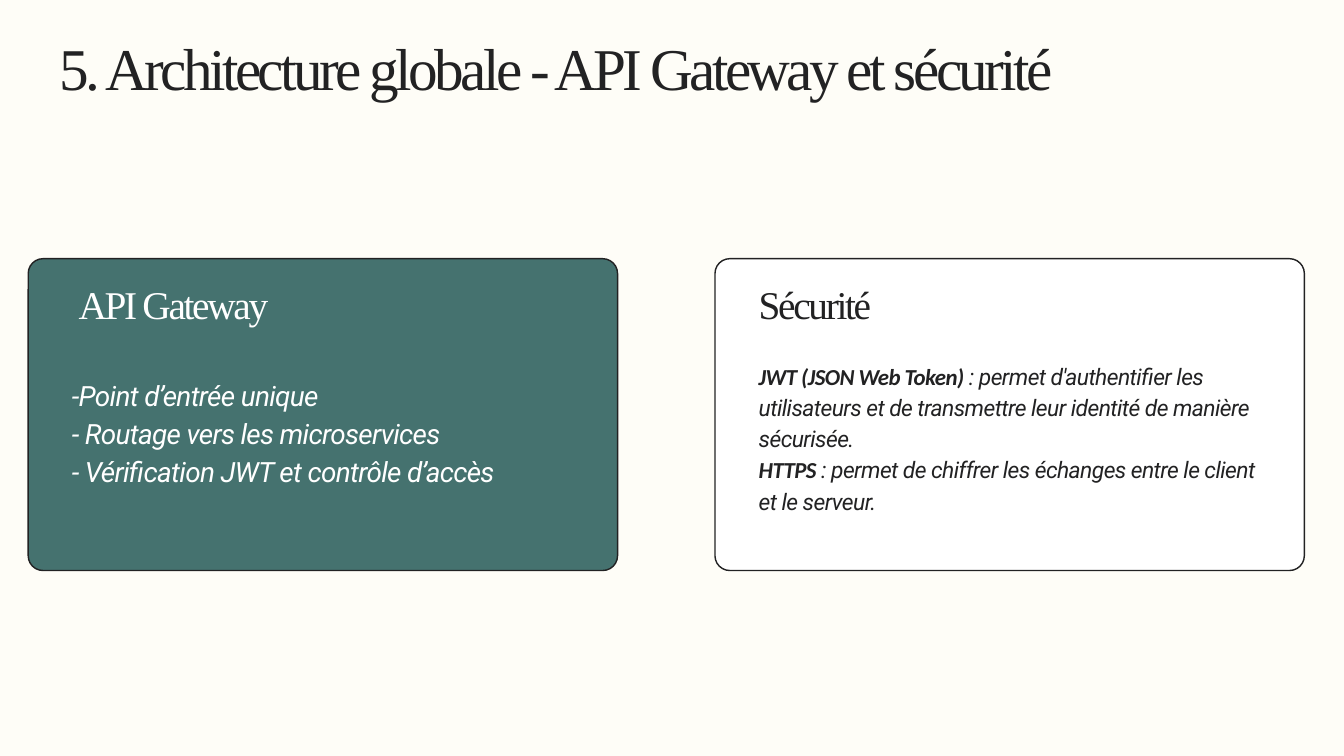
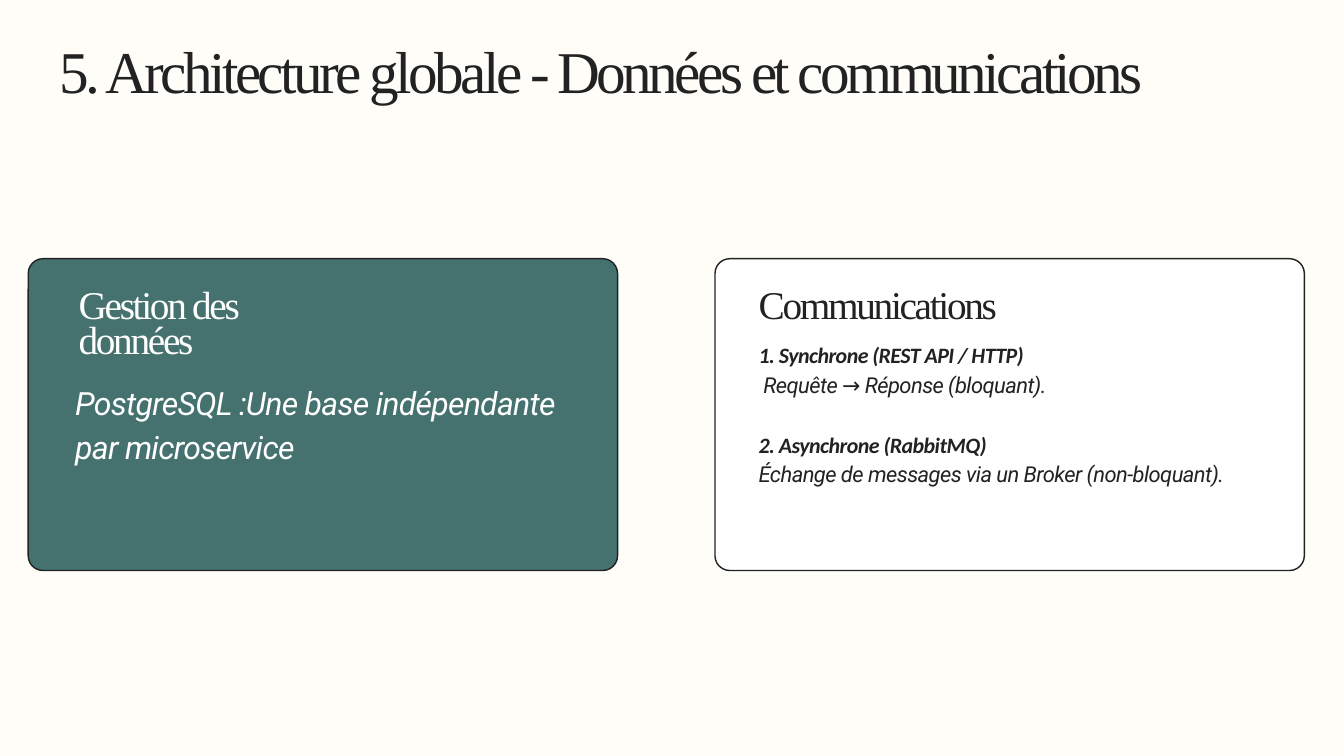
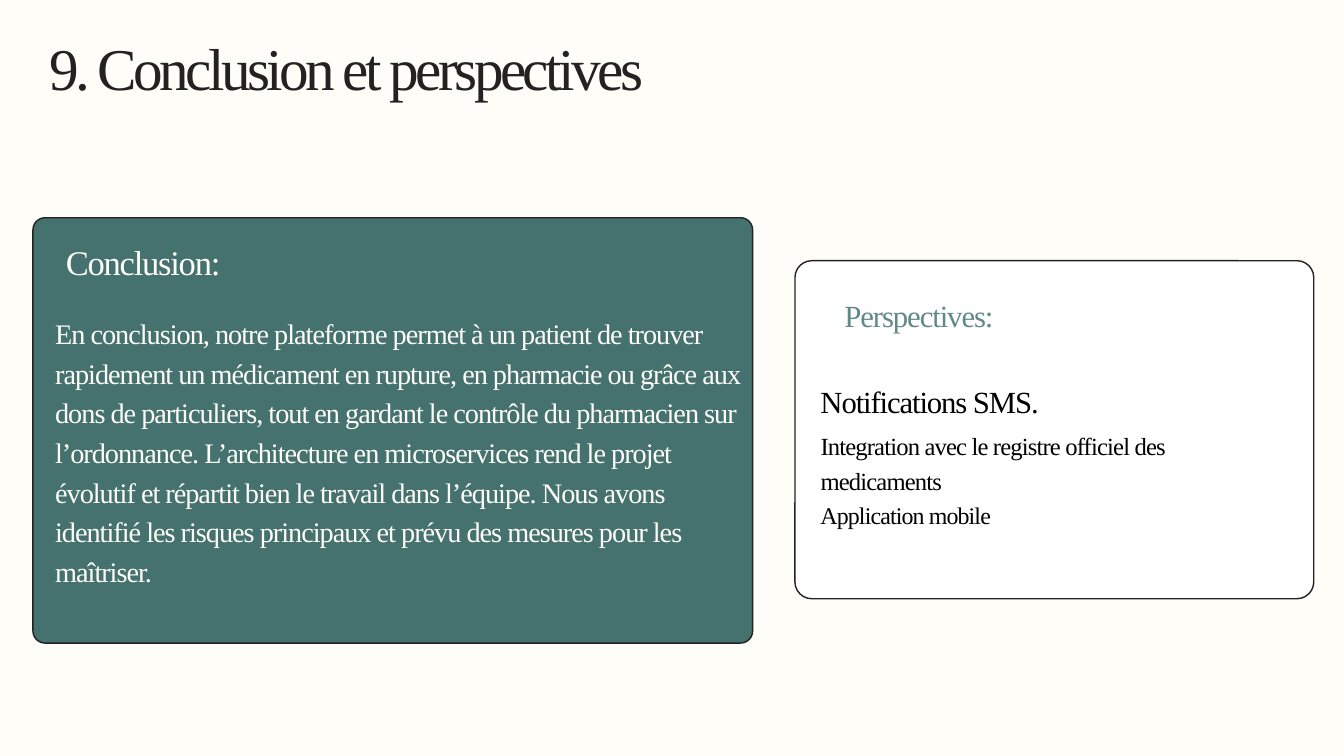
from dataclasses import dataclass, replace

from pptx import Presentation
from pptx.dml.color import RGBColor as Rgb
from pptx.enum.shapes import MSO_SHAPE as Shape
from pptx.enum.text import MSO_ANCHOR as Anchor, MSO_AUTO_SIZE as Fit, PP_ALIGN as Align
from pptx.util import Inches, Pt

SERIF, SANS, BOLD = "Times New Roman", "Roboto", "Calibri"


@dataclass(frozen=True)
class Style:
    size: float
    lead: float
    track: float
    color: str
    font: str = SERIF
    italic: bool = False
    align: Align = Align.LEFT


@dataclass(frozen=True)
class Theme:
    cream: str = "FEFDF7"
    white: str = "FFFFFF"
    green: str = "45726F"
    ink: str = "222223"
    title: Style = Style(63.4, 57.1, -3.8, ink)
    head: Style = Style(42.1, 37.9, -2.5, ink)
    points: Style = Style(29.9, 40.6, -0.7, white, SANS, True)
    claim: Style = Style(34.3, 46.7, -0.8, white, SANS, True)
    detail: Style = Style(24.5, 33.4, -0.6, ink, SANS, True)
    modes: Style = Style(23.5, 32, -0.6, ink, SANS, True)
    summary_head: Style = Style(37, 51.8, -1.3, cream, align=Align.CENTER)
    summary: Style = Style(30.3, 42.5, -1.1, cream)
    outlook_head: Style = Style(33, 46.2, -1.2, "608A87", align=Align.CENTER)
    outlook: Style = Style(32.9, 46.1, -1.2, "000000")
    registry: Style = Style(26.4, 36.9, -0.9, "000000")
    mobile: Style = Style(25.6, 35.9, -0.9, "000000")


@dataclass(frozen=True)
class Line:
    """A paragraph: bold lead-in, plain rest, space before (pt), left indent (in)."""
    strong: str = ""
    plain: str = ""
    gap: float = 0
    indent: float = 0


THEME = Theme()
LEFT = (0.42, 3.85, 8.77, 4.64)
RIGHT = (10.64, 3.85, 8.77, 4.64)


def style_run(run, style, bold=False):
    font = run.font
    font.name = BOLD if bold else style.font
    font.size = Pt(style.size)
    font.bold = bold
    font.italic = style.italic
    font.color.rgb = Rgb.from_string(style.color)
    run._r.get_or_add_rPr().set("spc", str(round(style.track * 100)))


def style_para(para, style):
    para.alignment = style.align
    para.line_spacing = Pt(style.lead)
    para.space_before = Pt(0)
    for run in para.runs:
        style_run(run, style)


def fit_frame(frame):
    frame.word_wrap = True
    frame.auto_size = Fit.NONE
    frame.vertical_anchor = Anchor.TOP
    frame.margin_left = frame.margin_right = 0
    frame.margin_top = frame.margin_bottom = 0


def add_slide(deck, title, left=0.89, top=0.73):
    slide = deck.slides.add_slide(deck.slide_layouts[5])
    shape = slide.shapes.title
    shape.left, shape.top = Inches(left), Inches(top)
    shape.width, shape.height = Inches(17), Inches(0.9)
    frame = shape.text_frame
    fit_frame(frame)
    frame.text = title
    style_para(frame.paragraphs[0], THEME.title)
    return slide


def add_card(slide, box, fill, radius=0.22):
    shape = slide.shapes.add_shape(Shape.ROUNDED_RECTANGLE, *map(Inches, box))
    shape.adjustments[0] = radius / box[3]
    shape.shadow.inherit = False
    shape.fill.solid()
    shape.fill.fore_color.rgb = Rgb.from_string(fill)
    shape.line.color.rgb = Rgb.from_string(THEME.ink)
    shape.line.width = Pt(1.5)


def add_text(slide, box, style, *texts):
    frame = slide.shapes.add_textbox(*map(Inches, box)).text_frame
    fit_frame(frame)
    frame.text = "\n".join(texts)
    for para in frame.paragraphs:
        style_para(para, style)


def add_lines(slide, box, style, lines):
    """Text whose paragraphs mix bold and plain runs."""
    frame = slide.shapes.add_textbox(*map(Inches, box)).text_frame
    fit_frame(frame)
    for i, line in enumerate(lines):
        para = frame.add_paragraph() if i else frame.paragraphs[0]
        style_para(para, style)
        para.space_before = Pt(line.gap)
        if line.indent:
            para._p.get_or_add_pPr().set("marL", str(Inches(line.indent)))
        for text, bold in ((line.strong, True), (line.plain, False)):
            if text:
                run = para.add_run()
                run.text = text
                style_run(run, style, bold)


def add_pair(slide, left, right):
    """The green and white cards with their headings."""
    add_card(slide, LEFT, THEME.green)
    add_text(slide, (1.17, 4.34, 4.15, 0.59), replace(THEME.head, color=THEME.white), left)
    add_card(slide, RIGHT, THEME.white)
    add_text(slide, (11.29, 4.34, 4.15, 0.59), THEME.head, right)


def add_gateway(deck):
    slide = add_slide(deck, "5. Architecture globale - API Gateway et sécurité")
    add_pair(slide, "API Gateway", "Sécurité")
    add_text(slide, (1.07, 5.57, 7.48, 1.65), THEME.points,
             "-Point d’entrée unique",
             "- Routage vers les microservices",
             "- Vérification JWT et contrôle d’accès")
    add_lines(slide, (11.29, 5.34, 7.48, 2.73), THEME.detail, [
        Line("JWT (JSON Web Token) ", ": permet d'authentifier les utilisateurs et de "
             "transmettre leur identité de manière sécurisée."),
        Line("HTTPS ", ": permet de chiffrer les échanges entre le client et le serveur."),
    ])


def add_data(deck):
    slide = add_slide(deck, "5. Architecture globale - Données et communications", top=0.78)
    add_pair(slide, "Gestion des données", "Communications")
    add_text(slide, (1.12, 5.63, 7.54, 1.3), THEME.claim,
             "PostgreSQL :Une base indépendante par microservice")
    add_lines(slide, (11.29, 5.03, 7.17, 2.3), THEME.modes, [
        Line("1. Synchrone (REST API / HTTP)"),
        Line(plain="Requête → Réponse (bloquant).", indent=0.07),
        Line("2. Asynchrone (RabbitMQ)", gap=THEME.modes.lead),
        Line(plain="Échange de messages via un Broker (non-bloquant)."),
    ])


def add_closing(deck):
    slide = add_slide(deck, "9. Conclusion et perspectives", left=0.73)
    add_card(slide, (0.49, 3.24, 10.71, 6.33), THEME.green, 0.18)
    add_text(slide, (0.82, 3.48, 2.62, 0.72), THEME.summary_head, "Conclusion:")
    add_text(slide, (0.82, 4.62, 10.38, 4.67), THEME.summary,
             "En conclusion, notre plateforme permet à un patient de trouver rapidement "
             "un médicament en rupture, en pharmacie ou grâce aux dons de particuliers, "
             "tout en gardant le contrôle du pharmacien sur l’ordonnance. L’architecture "
             "en microservices rend le projet évolutif et répartit bien le travail dans "
             "l’équipe. Nous avons identifié les risques principaux et prévu des mesures "
             "pour les maîtriser.")
    add_card(slide, (11.83, 3.88, 7.72, 5.03), THEME.white, 0.25)
    add_text(slide, (12.27, 4.32, 2.81, 0.64), THEME.outlook_head, "Perspectives:")
    add_text(slide, (12.21, 5.61, 5.74, 0.64), THEME.outlook, "Notifications SMS.")
    add_text(slide, (12.21, 6.34, 6.42, 1.03), THEME.registry,
             "Integration avec le registre officiel des medicaments")
    add_text(slide, (12.21, 7.38, 6.77, 0.49), THEME.mobile, "Application mobile")


def main():
    deck = Presentation()
    deck.slide_width, deck.slide_height = Inches(20), Inches(11.25)
    back = deck.slide_master.background.fill
    back.solid()
    back.fore_color.rgb = Rgb.from_string(THEME.cream)
    add_gateway(deck)
    add_data(deck)
    add_closing(deck)
    deck.save("out.pptx")


if __name__ == "__main__":
    main()
